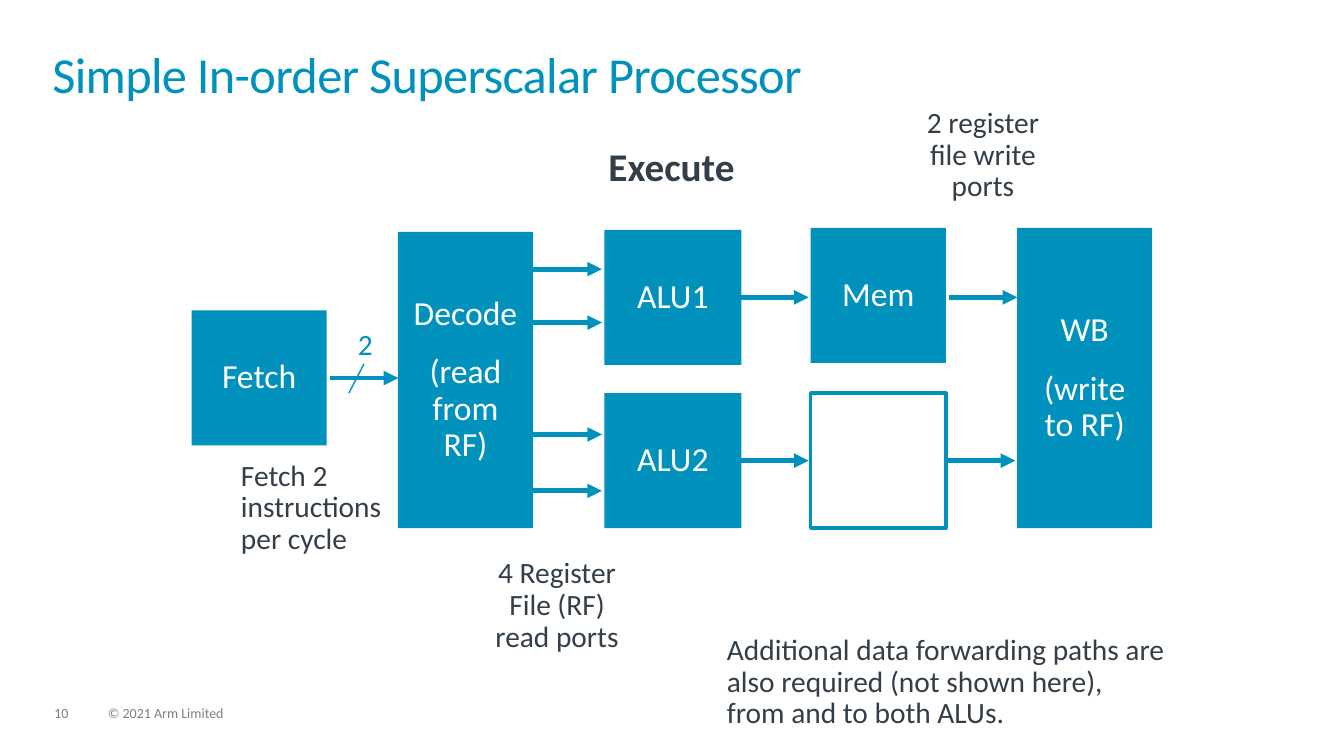
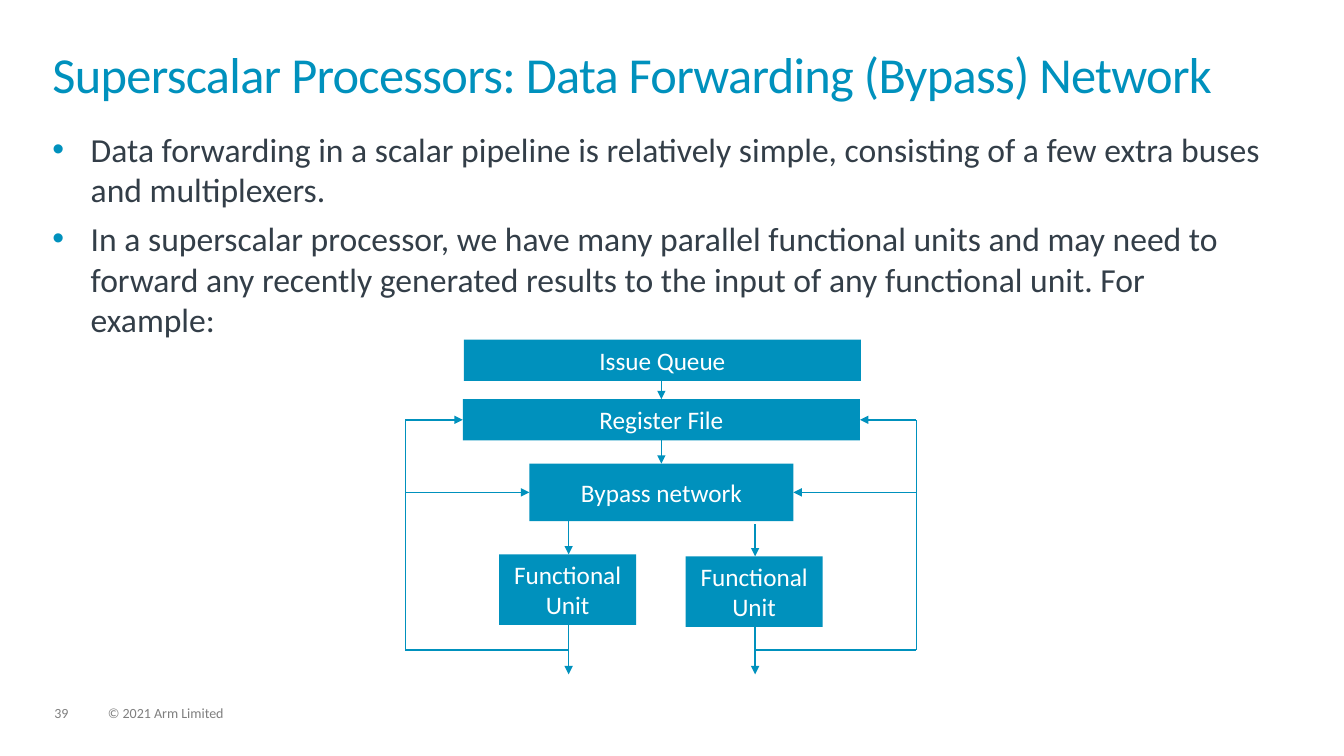
from dataclasses import dataclass
from typing import Any, Optional

from lxml.etree import SubElement
from pptx import Presentation
from pptx.dml.color import RGBColor
from pptx.enum.shapes import MSO_CONNECTOR as Connector
from pptx.enum.shapes import MSO_SHAPE as Preset
from pptx.enum.text import MSO_ANCHOR as Anchor
from pptx.enum.text import MSO_AUTO_SIZE as AutoSize
from pptx.enum.text import PP_ALIGN as Align
from pptx.oxml.ns import qn
from pptx.util import Inches, Pt

BLUE, INK, GREY, WHITE = "0091BD", "333E48", "7F7F7F", "FFFFFF"
FONT = "Calibri"
TITLE_ONLY, TITLE_AND_BODY = 5, 1


@dataclass(frozen=True)
class TextStyle:
    size: float
    color: str = INK
    bold: bool = False
    align: Align = Align.LEFT
    line_spacing: float = 0.9
    after: float = 6
    before: float = 0
    anchor: Anchor = Anchor.TOP


@dataclass(frozen=True)
class Block:
    left: float
    top: float
    width: float
    height: float
    paragraphs: tuple[str, ...] = ()


@dataclass(frozen=True)
class Line:
    x1: float
    y1: float
    x2: float
    y2: float
    arrow: bool = True


@dataclass(frozen=True)
class Label:
    area: Block
    style: TextStyle


TITLE = TextStyle(36, BLUE, line_spacing=0.85, after=0)
BODY = TextStyle(24, line_spacing=1.0, after=0, before=6)
FOOTER = TextStyle(10, GREY)
NOTE = TextStyle(21)
CENTRED_NOTE = TextStyle(21, align=Align.CENTER)
COUNT = TextStyle(21, BLUE)
HEADING = TextStyle(28, bold=True, align=Align.CENTER)
STAGE = TextStyle(24, WHITE, align=Align.CENTER, after=16, anchor=Anchor.MIDDLE)
UNIT = TextStyle(18, WHITE, align=Align.CENTER, line_spacing=1.0, after=0,
                 anchor=Anchor.MIDDLE)


def rgb(value: str) -> RGBColor:
    return RGBColor.from_string(value)


def assign(target: Any, values: dict[str, Any]) -> None:
    for name, value in values.items():
        setattr(target, name, value)


def place(shape: Any, area: Block) -> None:
    assign(shape, {name: Inches(getattr(area, name))
                   for name in ("left", "top", "width", "height")})


def write(shape: Any, paragraphs: tuple[str, ...], style: TextStyle) -> None:
    frame = shape.text_frame
    assign(frame, {"word_wrap": True, "auto_size": AutoSize.NONE,
                   "vertical_anchor": style.anchor, "margin_left": 0,
                   "margin_right": 0, "margin_top": 0, "margin_bottom": 0})
    for index, words in enumerate(paragraphs):
        paragraph = frame.add_paragraph() if index else frame.paragraphs[0]
        paragraph.text = words
        assign(paragraph, {"alignment": style.align,
                           "line_spacing": style.line_spacing,
                           "space_before": Pt(style.before if index else 0),
                           "space_after": Pt(style.after)})
        for run in paragraph.runs:
            assign(run.font, {"name": FONT, "size": Pt(style.size),
                              "bold": style.bold})
            run.font.color.rgb = rgb(style.color)


def add_label(slide: Any, label: Label) -> None:
    area = label.area
    box = slide.shapes.add_textbox(Inches(area.left), Inches(area.top),
                                   Inches(area.width), Inches(area.height))
    write(box, area.paragraphs, label.style)


def add_block(slide: Any, area: Block, style: TextStyle,
              outline: Optional[float] = None) -> None:
    block = slide.shapes.add_shape(
        Preset.RECTANGLE, Inches(area.left), Inches(area.top),
        Inches(area.width), Inches(area.height))
    block.shadow.inherit = False
    if outline:
        block.fill.background()
        block.line.color.rgb = rgb(BLUE)
        block.line.width = Pt(outline)
    else:
        block.fill.solid()
        block.fill.fore_color.rgb = rgb(BLUE)
        block.line.fill.background()
    write(block, area.paragraphs, style)


def add_line(slide: Any, line: Line, weight: float) -> None:
    connector = slide.shapes.add_connector(
        Connector.STRAIGHT, Inches(line.x1), Inches(line.y1),
        Inches(line.x2), Inches(line.y2))
    connector.line.color.rgb = rgb(BLUE)
    connector.line.width = Pt(weight)
    if line.arrow:
        SubElement(connector.line._get_or_add_ln(), qn("a:tailEnd"), type="triangle")
    SubElement(connector._element.spPr, qn("a:effectLst"))


def add_bullet(paragraph: Any) -> None:
    properties = paragraph._p.get_or_add_pPr()
    properties.set("marL", str(Inches(0.38)))
    properties.set("indent", str(-Inches(0.38)))
    bullet_color = SubElement(properties, qn("a:buClr"))
    SubElement(bullet_color, qn("a:srgbClr"), val=BLUE)
    SubElement(properties, qn("a:buFont"), typeface="Arial")
    SubElement(properties, qn("a:buChar"), char="•")


def start_slide(deck: Any, layout: int, title: str, number: int) -> Any:
    slide = deck.slides.add_slide(deck.slide_layouts[layout])
    heading = slide.shapes.title
    place(heading, Block(0.52, 0.52, 12.28, 0.72))
    write(heading, (title,), TITLE)
    for run in heading.text_frame.paragraphs[0].runs:
        run._r.get_or_add_rPr().set("spc", "-50")
    add_label(slide, Label(Block(0.54, 7.01, 0.34, 0.15, (str(number),)), FOOTER))
    add_label(slide, Label(Block(1.07, 7.01, 5.07, 0.15,
                                 ("© 2021 Arm Limited",)), FOOTER))
    return slide


def build_pipeline(deck: Any) -> None:
    slide = start_slide(deck, TITLE_ONLY, "Simple In-order Superscalar Processor", 10)
    side = 1.34
    fetch_x, decode_x, alu_x, mem_x, write_x = (1.9 + 2.047 * i for i in range(5))
    lower_top = 3.9
    stages = (
        Block(fetch_x, 3.08, side, side, ("Fetch",)),
        Block(decode_x, 2.3, side, 2.94, ("Decode", "(read\nfrom\nRF)")),
        Block(alu_x, 2.28, 1.36, side, ("ALU1",)),
        Block(alu_x, lower_top, 1.36, side, ("ALU2",)),
        Block(mem_x, 2.26, side, side, ("Mem",)),
        Block(write_x, 2.26, side, 2.98, ("WB", "(write\nto RF)")),
    )
    for stage in stages:
        add_block(slide, stage, STAGE)
    add_block(slide, Block(mem_x, lower_top, side, side), STAGE, outline=2.5)

    reach = 0.68
    starts = [(3.27, 3.75)]
    starts += [(5.29, y) for y in (2.67, 3.2, 4.31, 4.87)]
    starts += [(7.34, 2.95), (7.34, 4.57), (9.41, 2.95), (9.39, 4.57)]
    for x, y in starts:
        add_line(slide, Line(x, y, x + reach, y), 3.5)
    add_line(slide, Line(3.61, 3.61, 3.46, 3.9, arrow=False), 1)

    labels = (
        Label(Block(2.39, 4.57, 1.55, 0.95,
                    ("Fetch 2 instructions\nper cycle",)), NOTE),
        Label(Block(3.55, 3.27, 0.26, 0.32, ("2",)), COUNT),
        Label(Block(4.78, 5.54, 1.49, 0.95,
                    ("4 Register File (RF) read ports",)), CENTRED_NOTE),
        Label(Block(7.21, 6.3, 4.35, 0.95,
                    ("Additional data forwarding paths are also required "
                     "(not shown here), from and to both ALUs.",)), NOTE),
        Label(Block(9.08, 1.07, 1.34, 0.95,
                    ("2 register file write ports",)), CENTRED_NOTE),
        Label(Block(5.99, 1.46, 1.34, 0.42, ("Execute",)), HEADING),
    )
    for label in labels:
        add_label(slide, label)


def build_bypass(deck: Any) -> None:
    slide = start_slide(deck, TITLE_AND_BODY,
                        "Superscalar Processors: Data Forwarding (Bypass) Network", 39)
    body = slide.placeholders[1]
    place(body, Block(0.52, 1.28, 12.03, 5.41))
    write(body, (
        "Data forwarding in a scalar pipeline is relatively simple, consisting of "
        "a few extra buses and multiplexers.",
        "In a superscalar processor, we have many parallel functional units and may "
        "need to forward any recently generated results to the input of any "
        "functional unit. For example:"), BODY)
    for paragraph in body.text_frame.paragraphs:
        add_bullet(paragraph)

    queue = Block(4.6, 3.37, 3.94, 0.41, ("Issue Queue",))
    registers = Block(4.59, 3.96, 3.94, 0.41, ("Register File",))
    bypass = Block(5.25, 4.6, 2.62, 0.57, ("Bypass network",))
    left_unit, right_unit = (Block(x, y, 1.36, 0.7, ("Functional Unit",))
                             for x, y in ((4.95, 5.5), (6.8, 5.52)))
    for block in (queue, registers, bypass, left_unit, right_unit):
        add_block(slide, block, UNIT)

    axis, join_y = 6.56, 6.45
    lines = [Line(axis, upper.top + upper.height, axis, lower.top)
             for upper, lower in ((queue, registers), (registers, bypass))]
    for unit, rail_x, feed_top in ((left_unit, 4.02, 5.17), (right_unit, 9.09, 5.2)):
        unit_x = unit.left + unit.width / 2 + 0.01
        lines += [Line(unit_x, feed_top, unit_x, unit.top),
                  Line(unit_x, unit.top + unit.height, unit_x, 6.69),
                  Line(unit_x, join_y, rail_x, join_y, arrow=False)]
        target_y = [block.top + block.height / 2 for block in (registers, bypass)]
        lines.append(Line(rail_x, join_y, rail_x, target_y[0], arrow=False))
        for block, y in zip((registers, bypass), target_y):
            edge = block.left if rail_x < axis else block.left + block.width
            lines.append(Line(rail_x, y, edge, y))
    for line in lines:
        add_line(slide, line, 1)


def main() -> None:
    deck = Presentation()
    assign(deck, {"slide_width": Inches(13.33), "slide_height": Inches(7.5)})
    build_pipeline(deck)
    build_bypass(deck)
    deck.save("out.pptx")


if __name__ == "__main__":
    main()
